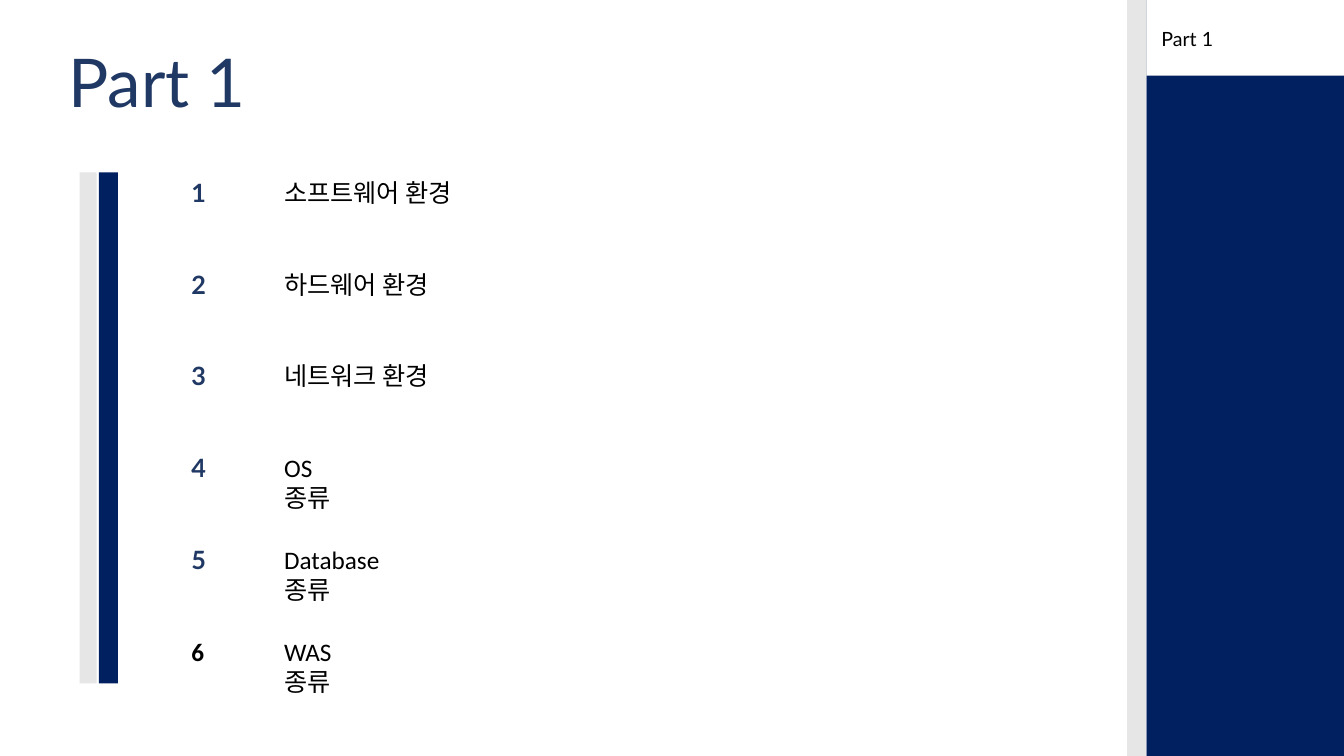
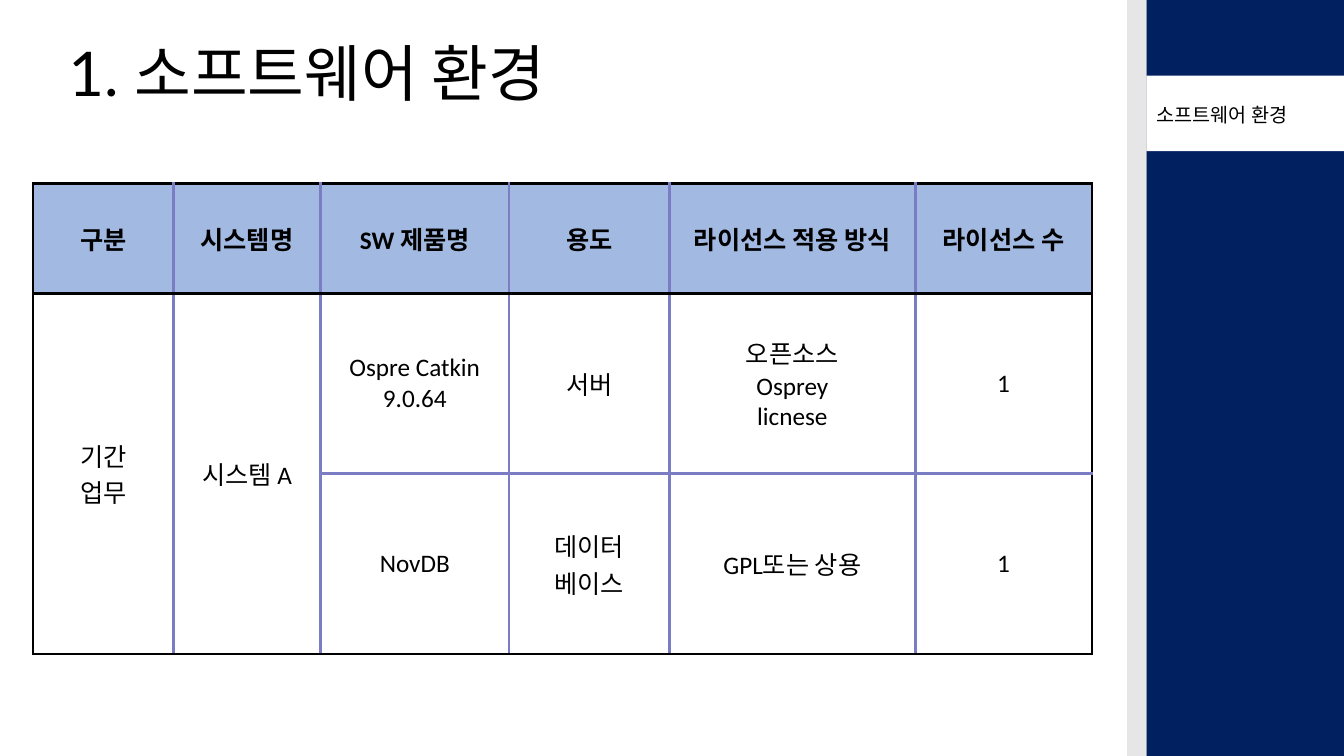
from lxml import etree
from pptx import Presentation
from pptx import util as u
from pptx.dml.color import RGBColor
from pptx.enum import shapes, text
from pptx.oxml import ns

COLORS = {
    "navy": "002060",
    "gray": "E7E6E6",
    "white": "FFFFFF",
    "black": "000000",
    "title": "203864",
    "header": "A2B9E2",
    "violet": "7A7CC4",
}
ALPHA = {"black": 73, "violet": 83}
SIDEBAR_LEFT, SIDEBAR_WIDTH, TAB_HEIGHT = 11.37, 1.96, 0.75


def color(name):
    return RGBColor.from_string(COLORS[name])


def write(frame, content, size=18, font="Calibri", ink="black", bold=False,
          align=text.PP_ALIGN.LEFT, spacing=None):
    for index, line in enumerate(content.split("\n")):
        paragraph = frame.paragraphs[0] if index == 0 else frame.add_paragraph()
        paragraph.text = line
        paragraph.alignment = align
        paragraph.line_spacing = spacing
        for run in paragraph.runs:
            run.font.size = u.Pt(size)
            run.font.name = font
            run.font.bold = bold
            run.font.color.rgb = color(ink)


class Deck:
    def __init__(self):
        self.presentation = Presentation()
        self.presentation.slide_width = u.Inches(13.33)
        self.presentation.slide_height = u.Inches(7.5)
        self.slide = None

    def add_slide(self, label, tab, label_left=SIDEBAR_LEFT):
        self.slide = self.presentation.slides.add_slide(self.presentation.slide_layouts[6])
        tab_top = tab * TAB_HEIGHT
        self.band(SIDEBAR_LEFT, 0, SIDEBAR_WIDTH, 7.5, "navy")
        self.band(SIDEBAR_LEFT, tab_top, SIDEBAR_WIDTH, TAB_HEIGHT, "white")
        self.label(label_left, tab_top + 0.22, 1.75, 0.34, label, size=14, font="Lato")
        self.band(11.18, 0, 0.19, 7.5, "gray")

    def band(self, left, top, width, height, fill):
        shape = self.slide.shapes.add_shape(
            shapes.MSO_SHAPE.RECTANGLE,
            u.Inches(left), u.Inches(top), u.Inches(width), u.Inches(height))
        shape.shadow.inherit = False
        shape.fill.solid()
        shape.fill.fore_color.rgb = color(fill)
        shape.line.fill.background()

    def label(self, left, top, width, height, content, **style):
        box = self.slide.shapes.add_textbox(
            u.Inches(left), u.Inches(top), u.Inches(width), u.Inches(height))
        box.text_frame.word_wrap = True
        write(box.text_frame, content, **style)

    def title(self, top, content, size, ink):
        self.label(0.58, top, 5.61, 0.78, content, size=size, font="Lato", ink=ink, spacing=0.9)

    def border(self, cell, sides):
        properties = cell._tc.get_or_add_tcPr()
        for index, (side, ink) in enumerate(sides.items()):
            line = etree.Element(ns.qn(f"a:ln{side}"), w=str(u.Pt(2)))
            fill = etree.SubElement(line, ns.qn("a:solidFill"))
            tint = etree.SubElement(fill, ns.qn("a:srgbClr"), val=COLORS[ink])
            etree.SubElement(tint, ns.qn("a:alpha"), val=str(ALPHA[ink] * 1000))
            properties.insert(index, line)

    def table(self, left, top, widths, heights, rows, merged_columns):
        table = self.slide.shapes.add_table(
            len(heights), len(widths), u.Inches(left), u.Inches(top),
            u.Inches(sum(widths)), u.Inches(sum(heights))).table
        for column, width in zip(table.columns, widths):
            column.width = u.Inches(width)
        for row, height in zip(table.rows, heights):
            row.height = u.Inches(height)
        for column in range(merged_columns):
            table.cell(1, column).merge(table.cell(len(heights) - 1, column))
        last_row, last_column = len(heights) - 1, len(widths) - 1
        for r, row in enumerate(rows):
            for c, content in enumerate(row):
                cell = table.cell(r, c)
                cell.vertical_anchor = text.MSO_ANCHOR.MIDDLE
                cell.fill.solid()
                cell.fill.fore_color.rgb = color("white" if r else "header")
                if content:
                    write(cell.text_frame, content, bold=r == 0, align=text.PP_ALIGN.CENTER)
                black_bottom = r in (0, last_row) or c < merged_columns
                self.border(cell, {
                    "L": "black" if c == 0 else "violet",
                    "R": "black" if c == last_column else "violet",
                    "T": "black" if r < 2 else "violet",
                    "B": "black" if black_bottom else "violet",
                })


def contents_slide(deck):
    deck.add_slide("Part 1", 0, label_left=11.42)
    deck.title(0.44, "Part 1", 48, "title")
    deck.band(0.79, 1.71, 0.17, 5.07, "gray")
    deck.band(0.98, 1.71, 0.19, 5.07, "navy")
    topics = ["소프트웨어 환경", "하드웨어 환경", "네트워크 환경",
              "OS\v종류", "Database\v종류", "WAS\v종류"]
    for index, topic in enumerate(topics):
        top = 1.71 + index * 0.91
        style = {"font": "Lato", "ink": "title"} if index < 5 else {}
        deck.label(1.8, top, 0.36, 0.4, str(index + 1), bold=True, **style)
        deck.label(2.72, top, 2.2, 0.4, topic)


def software_slide(deck):
    deck.add_slide("소프트웨어 환경", 1)
    deck.title(0.38, "1. 소프트웨어 환경", 44, "black")
    deck.table(0.33, 1.82, [1.39, 1.46, 1.87, 1.59, 2.44, 1.75], [1.09, 1.79, 1.79], [
        ["구분", "시스템명", "SW 제품명", "용도", "라이선스 적용 방식", "라이선스 수"],
        ["기간\n업무", "시스템 A", "Ospre Catkin\n9.0.64", "서버", "오픈소스\nOsprey\nlicnese", "1"],
        ["", "", "NovDB", "데이터\n베이스", "GPL또는 상용", "1"],
    ], merged_columns=2)


def main():
    deck = Deck()
    contents_slide(deck)
    software_slide(deck)
    deck.presentation.save("out.pptx")


if __name__ == "__main__":
    main()
